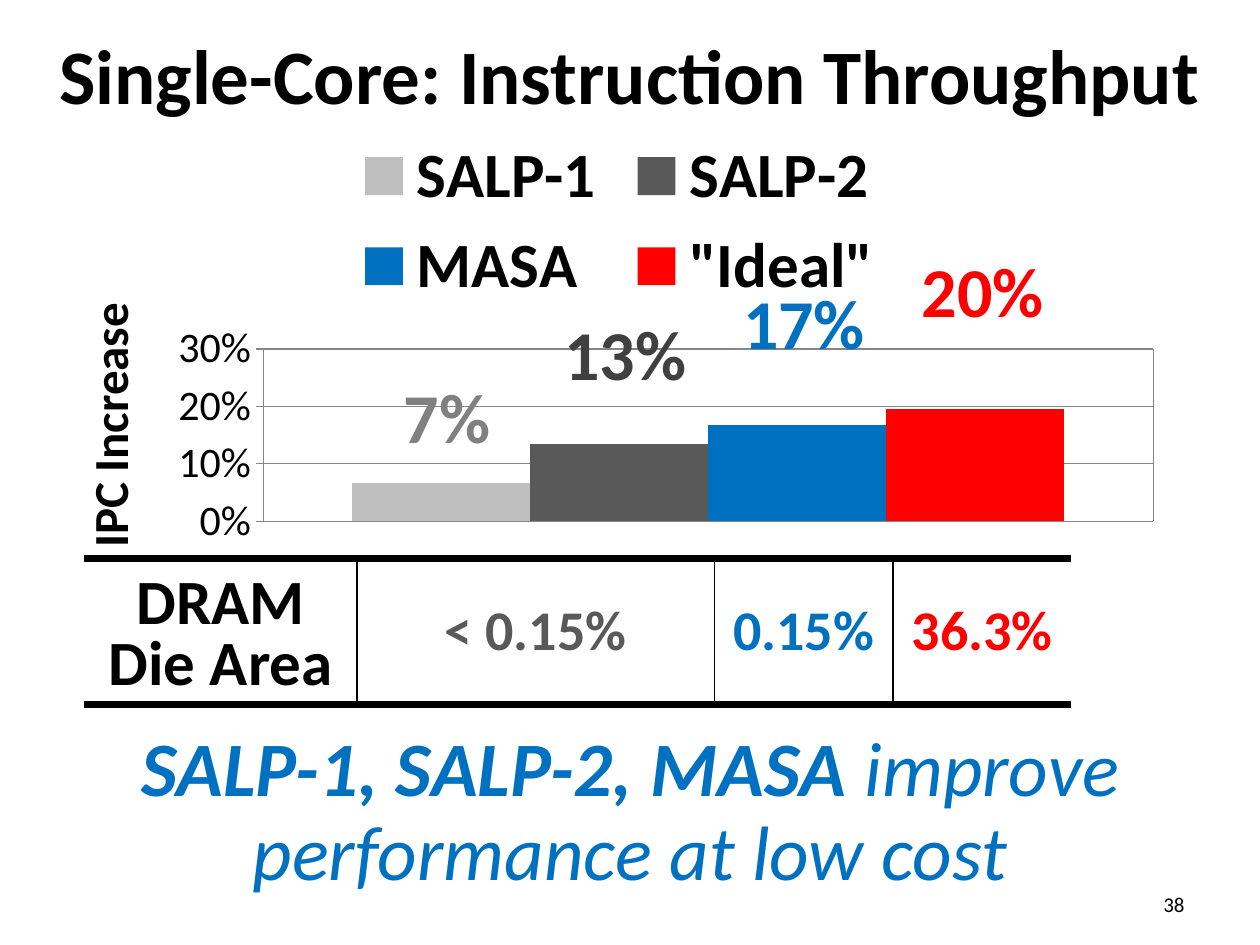
from lxml import etree
from pptx import Presentation, util as u
from pptx.chart import data as cd
from pptx.dml.color import RGBColor
from pptx.enum import chart as ch, text as t
from pptx.oxml import ns

FONT = "Calibri"
HUES = {"black": "000000", "light": "BFBFBF", "dark": "595959", "blue": "0070C0",
        "red": "FF0000", "mid": "808080", "deep": "404040", "grid": "868686"}


def tint(name):
    """Return the named colour."""
    return RGBColor.from_string(HUES[name])


def style(font, size, hue="black", bold=False, slant=False):
    """Format one font."""
    font.name, font.size, font.bold, font.italic = FONT, u.Pt(size), bold, slant
    font.color.rgb = tint(hue)


def write(frame, runs, align="CENTER", lead=None, anchor="TOP"):
    """Fill a frame with one paragraph of (text, format) runs."""
    frame.word_wrap = True
    frame.vertical_anchor = getattr(t.MSO_ANCHOR, anchor)
    par = frame.paragraphs[0]
    par.alignment = getattr(t.PP_ALIGN, align)
    if lead:
        par.line_spacing = lead
    for words, form in runs:
        run = par.add_run()
        run.text = words
        style(run.font, *form)


def add_text(slide, box, runs, **opts):
    """Add a text box."""
    write(slide.shapes.add_textbox(*map(u.Cm, box)).text_frame, runs, **opts)


def add_title(slide, box, words):
    """Place and format the title."""
    head = slide.shapes.title
    head.left, head.top, head.width, head.height = map(u.Cm, box)
    head.text_frame.auto_size = t.MSO_AUTO_SIZE.NONE
    write(head.text_frame, [(words, (44, "black", True))], anchor="MIDDLE")


def set_plot(chart, x, y, w, h):
    """Fix the inner plot area as shares of the chart."""
    area = chart._chartSpace.chart.plotArea
    for old in area.findall(ns.qn("c:layout")):
        area.remove(old)
    lay = etree.Element(ns.qn("c:layout"))
    area.insert(0, lay)
    man = etree.SubElement(lay, ns.qn("c:manualLayout"))
    pairs = [("layoutTarget", "inner"), ("xMode", "edge"), ("yMode", "edge"),
             ("x", x), ("y", y), ("w", w), ("h", h)]
    for tag, val in pairs:
        etree.SubElement(man, ns.qn("c:" + tag)).set("val", str(val))


def set_axes(chart):
    """Format both axes."""
    cat, val = chart.category_axis, chart.value_axis
    cat.visible = False
    val.minimum_scale, val.maximum_scale, val.major_unit = 0, 0.3, 0.1
    val.major_tick_mark = ch.XL_TICK_MARK.OUTSIDE
    val.tick_labels.number_format = "0%"
    val.tick_labels.number_format_is_linked = False
    style(val.tick_labels.font, 24)
    val.format.line.color.rgb = tint("grid")
    for axis in (cat, val):
        axis.has_major_gridlines = True
        axis.major_gridlines.format.line.color.rgb = tint("grid")
    name = val.axis_title
    run = name.text_frame.paragraphs[0].add_run()
    run.text = "IPC Increase"
    style(run.font, 28, bold=True)
    body = next(name._element.iter(ns.qn("a:bodyPr")))
    body.set("rot", "-5400000")
    body.set("vert", "horz")


def add_bars(slide, box, bars):
    """Add the column chart with a large value above each bar."""
    data = cd.CategoryChartData(number_format="0%")
    data.categories = ["1"]
    for name, val, *rest in bars:
        data.add_series(name, [val])
    chart = slide.shapes.add_chart(
        ch.XL_CHART_TYPE.COLUMN_CLUSTERED, *map(u.Cm, box), data).chart
    style(chart.font, 10)
    chart.has_title = False
    chart.has_legend = True
    chart.legend.position = ch.XL_LEGEND_POSITION.TOP
    chart.legend.include_in_layout = False
    style(chart.legend.font, 36, bold=True)
    plot = chart.plots[0]
    plot.gap_width, plot.overlap, plot.vary_by_categories = 100, 0, False
    set_axes(chart)
    set_plot(chart, 0.18, 0.53, 0.8, 0.39)
    left, top = box[:2]
    for i, (ser, (name, val, fill, hue, drop)) in enumerate(zip(plot.series, bars)):
        ser.format.fill.solid()
        ser.format.fill.fore_color.rgb = tint(fill)
        add_text(slide, (left + 6.15 + 3.6 * i, top + drop, 3.18, 1.96),
                 [(f"{val:.0%}", (40, hue, True))])


def set_edge(cell, side, width):
    """Draw one cell border, or none at zero width."""
    line = etree.SubElement(cell._tc.get_or_add_tcPr(), ns.qn("a:ln" + side))
    line.set("w", str(u.Pt(width)))
    if not width:
        etree.SubElement(line, ns.qn("a:noFill"))
        return
    fill = etree.SubElement(line, ns.qn("a:solidFill"))
    etree.SubElement(fill, ns.qn("a:srgbClr")).set("val", HUES["black"])


def add_costs(slide, box, cols):
    """Add the one-row table of die area."""
    grid = slide.shapes.add_table(1, len(cols), *map(u.Cm, box)).table
    grid.first_row = grid.horz_banding = False
    grid.rows[0].height = u.Cm(box[3])
    last = len(cols) - 1
    for i, (wide, words, size, hue) in enumerate(cols):
        grid.columns[i].width = u.Cm(wide)
        cell = grid.cell(0, i)
        first = i == 0
        write(cell.text_frame, [(words, (size, hue, True))],
              lead=0.8 if first else None)
        cell.vertical_anchor = t.MSO_ANCHOR.BOTTOM if first else t.MSO_ANCHOR.MIDDLE
        edges = {"L": i > 0, "R": i < last, "T": 4.5, "B": 4.5}
        for side, width in edges.items():
            set_edge(cell, side, width)
        cell.fill.background()


def main():
    """Build and save the slide."""
    deck = Presentation()
    deck.slide_width, deck.slide_height = u.Cm(25.4), u.Cm(19.05)
    slide = deck.slides.add_slide(deck.slide_layouts.get_by_name("Title Only"))
    add_title(slide, (0.85, 0.21, 23.7, 2.54), "Single-Core: Instruction Throughput")
    add_text(slide, (18.2, 17.78, 5.93, 0.89), [("38", (12,))],
             align="RIGHT", anchor="MIDDLE")
    add_bars(slide, (1.27, 2.33, 22.43, 8.89), [
        ("SALP-1", 0.066, "light", "mid", 5.08),
        ("SALP-2", 0.134, "dark", "deep", 3.81),
        ("MASA", 0.167, "blue", "blue", 3.18),
        ('"Ideal"', 0.196, "red", "red", 2.54)])
    add_text(slide, (2.54, 14.6, 20.34, 3.63), [
        ("SALP-1, SALP-2, MASA", (44, "blue", True, True)),
        (" improve performance at low cost", (44, "blue", False, True))], lead=0.9)
    add_costs(slide, (1.7, 11.25, 19.9, 2.95), [
        (5.5, "DRAM Die Area", 36, "black"), (7.2, "< 0.15%", 32, "dark"),
        (3.6, "0.15%", 32, "blue"), (3.6, "36.3%", 32, "red")])
    deck.save("out.pptx")


if __name__ == "__main__":
    main()
